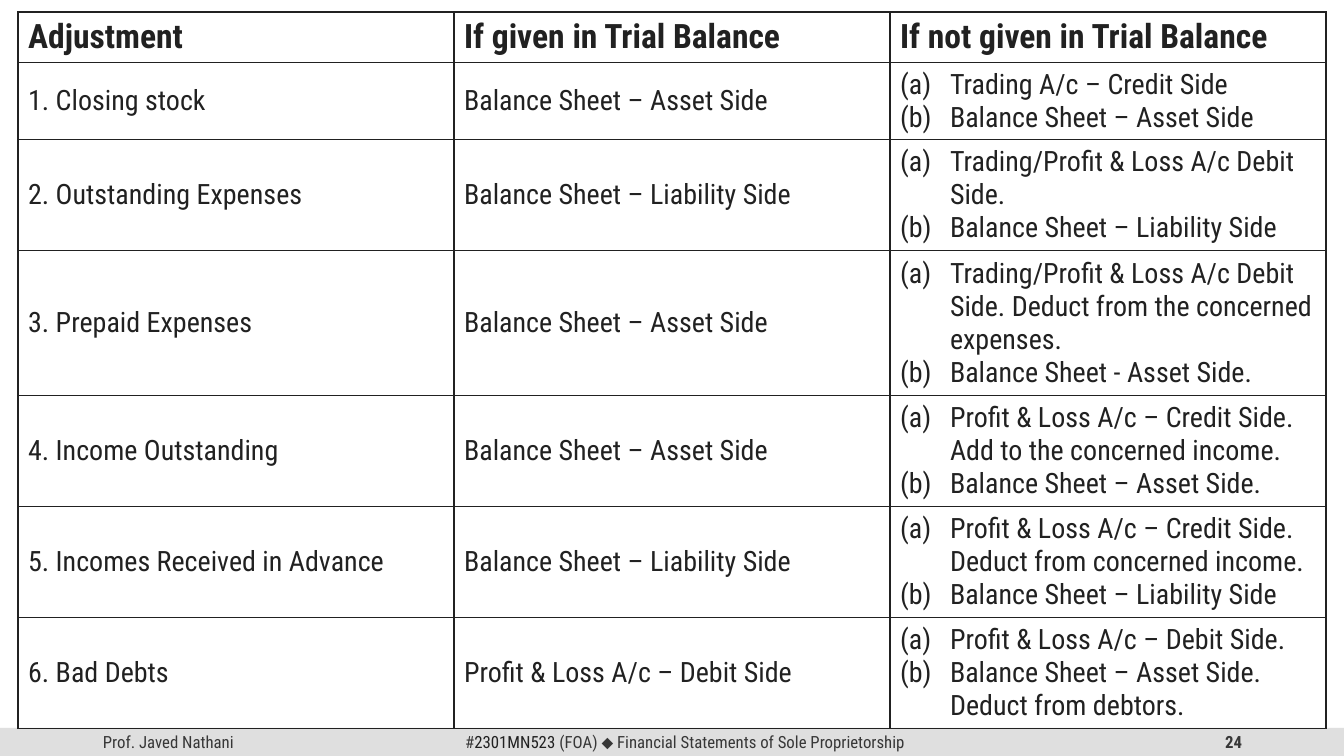
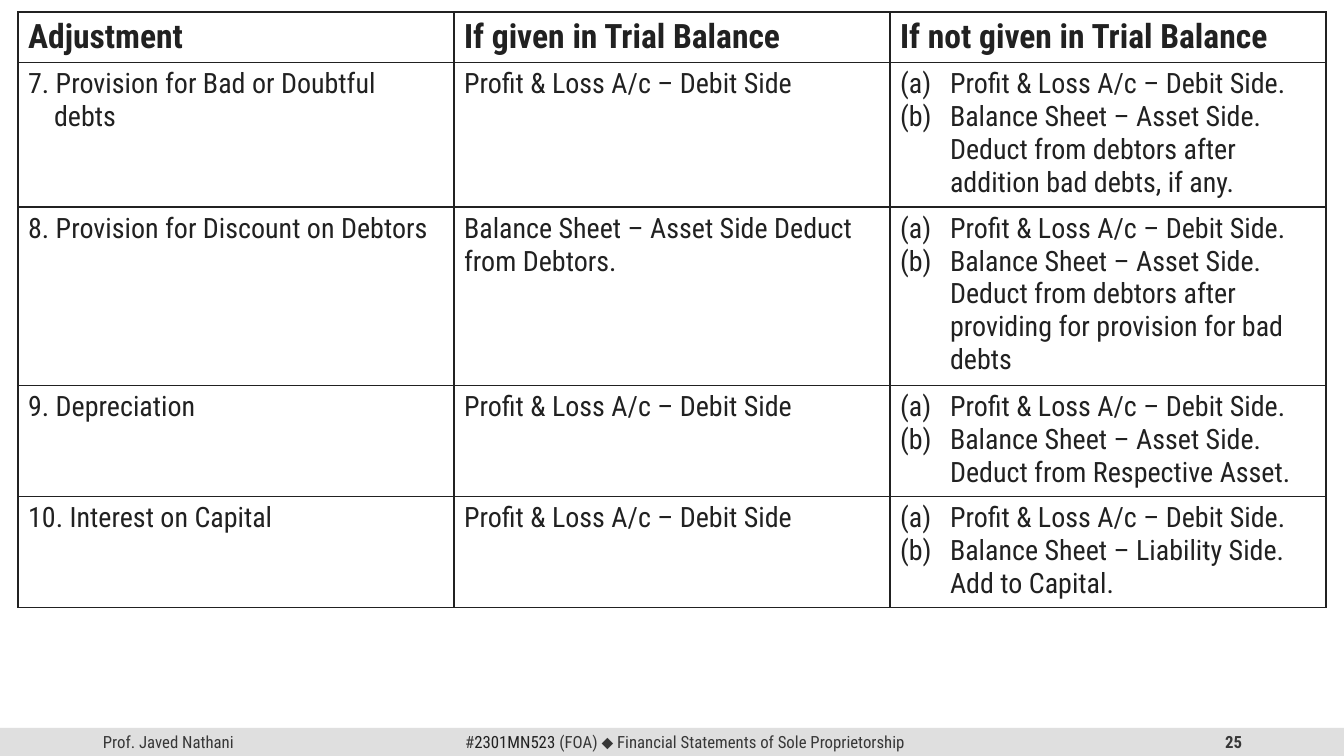
from lxml import etree
from pptx import Presentation
from pptx import util as u
from pptx.dml.color import RGBColor
from pptx.enum import shapes, text
from pptx.oxml import ns

COLORS = {"ink": "212121", "footer": "373737", "band": "DFDFDF"}
FONT = "Roboto Condensed"
SLIDE_W, SLIDE_H = 1344, 756
EMU_PER_PX = 12192000 / SLIDE_W

# Table grid
TABLE_LEFT, TABLE_TOP, COLUMN_W = 18, 12, 436
HEADER_H, LINE_H, CELL_PADDING = 49, 33, 10
HANGING = {0: 26, 2: 50}  # hanging indent by column

# Footer
FOOTER_TOP, FOOTER_H = 728, 28
FIRST_PAGE = 24
AUTHOR = [("Prof. Javed Nathani", FONT, "footer", False)]
COURSE = [
    ("#", FONT, "footer", False),
    ("2301MN523 ", FONT, "ink", False),
    ("(FOA) ", FONT, "footer", False),
    ("⬥", "Arial", "footer", False),
    (" Financial Statements of Sole Proprietorship", FONT, "footer", False),
]

# Wording
HEADINGS = ["Adjustment", "If given in Trial Balance", "If not given in Trial Balance"]
ASSET = "Balance Sheet – Asset Side"
LIABILITY = "Balance Sheet – Liability Side"
DEBIT = "Profit & Loss A/c – Debit Side"
CREDIT = "Profit & Loss A/c – Credit Side"
EXPENSE = "Trading/Profit & Loss A/c Debit Side."

# Each row: line count, adjustment, if given, if not given (a) and (b)
PAGES = [
    (text.MSO_ANCHOR.MIDDLE, [
        (2, "1. Closing stock", ASSET, ["Trading A/c – Credit Side", ASSET]),
        (3, "2. Outstanding Expenses", LIABILITY, [EXPENSE, LIABILITY]),
        (4, "3. Prepaid Expenses", ASSET,
         [f"{EXPENSE} Deduct from the concerned expenses.", "Balance Sheet - Asset Side."]),
        (3, "4. Income Outstanding", ASSET,
         [f"{CREDIT}. Add to the concerned income.", f"{ASSET}."]),
        (3, "5. Incomes Received in Advance", LIABILITY,
         [f"{CREDIT}.\nDeduct from concerned income.", LIABILITY]),
        (3, "6. Bad Debts", DEBIT, [f"{DEBIT}.", f"{ASSET}. Deduct from debtors."]),
    ]),
    (text.MSO_ANCHOR.TOP, [
        (4, "7. Provision for Bad or Doubtful\ndebts", DEBIT,
         [f"{DEBIT}.", f"{ASSET}. Deduct from debtors after addition bad debts, if any."]),
        (5, "8. Provision for Discount on Debtors", f"{ASSET} Deduct from Debtors.",
         [f"{DEBIT}.",
          f"{ASSET}. Deduct from debtors after providing for provision for bad debts"]),
        (3, "9. Depreciation", DEBIT,
         [f"{DEBIT}.", f"{ASSET}. Deduct from Respective Asset."]),
        (3, "10. Interest on Capital", DEBIT,
         [f"{DEBIT}.", f"{LIABILITY}. Add to Capital."]),
    ]),
]


def px(n):
    return u.Emu(round(n * EMU_PER_PX))


def style_run(run, size, font, color, bold):
    run.font.size = u.Pt(size)
    run.font.name = font
    run.font.bold = bold
    run.font.color.rgb = RGBColor.from_string(COLORS[color])


prs = Presentation()
prs.slide_width, prs.slide_height = px(SLIDE_W), px(SLIDE_H)

for page, (anchor, entries) in enumerate(PAGES, FIRST_PAGE):
    slide = prs.slides.add_slide(prs.slide_layouts[6])

    # Footer band and its three texts
    band = slide.shapes.add_shape(
        shapes.MSO_SHAPE.RECTANGLE, 0, px(FOOTER_TOP), px(SLIDE_W), px(FOOTER_H))
    band.shadow.inherit = False
    band.fill.solid()
    band.fill.fore_color.rgb = RGBColor.from_string(COLORS["band"])
    band.line.fill.background()

    for left, width, align, pieces in [
        (93, 302, text.PP_ALIGN.LEFT, AUTHOR),
        (950, 302, text.PP_ALIGN.RIGHT, [(str(page), FONT, "footer", True)]),
        (421, 528, text.PP_ALIGN.CENTER, COURSE),
    ]:
        footer = slide.shapes.add_textbox(px(left), px(FOOTER_TOP), px(width), px(FOOTER_H))
        frame = footer.text_frame
        frame.word_wrap = True
        frame.vertical_anchor = text.MSO_ANCHOR.MIDDLE
        frame.margin_top = frame.margin_bottom = 0
        frame.paragraphs[0].alignment = align
        for wording, font, color, bold in pieces:
            run = frame.paragraphs[0].add_run()
            run.text = wording
            style_run(run, 12, font, color, bold)

    # Table: row heights follow from the line counts
    heights = [HEADER_H] + [CELL_PADDING + LINE_H * entry[0] for entry in entries]
    rows = [HEADINGS] + [entry[1:] for entry in entries]
    adjustments = slide.shapes.add_table(
        len(rows), len(HEADINGS), px(TABLE_LEFT), px(TABLE_TOP),
        px(COLUMN_W * len(HEADINGS)), px(sum(heights))).table
    adjustments.first_row = adjustments.horz_banding = False
    for column in adjustments.columns:
        column.width = px(COLUMN_W)

    for r, (height, row) in enumerate(zip(heights, rows)):
        adjustments.rows[r].height = px(height)
        is_header = r == 0
        for c, content in enumerate(row):
            cell = adjustments.cell(r, c)
            cell.fill.background()
            cell.vertical_anchor = text.MSO_ANCHOR.TOP if is_header else anchor

            # Borders come before the fill
            tc_pr = cell._tc.get_or_add_tcPr()
            for i, side in enumerate(("lnL", "lnR", "lnT", "lnB")):
                border = etree.Element(ns.qn(f"a:{side}"), w=str(u.Pt(1)))
                solid = etree.SubElement(border, ns.qn("a:solidFill"))
                etree.SubElement(solid, ns.qn("a:srgbClr"), val=COLORS["ink"])
                tc_pr.insert(i, border)

            # Text, with (a), (b) numbering where there is a list
            treatments = content if isinstance(content, list) else [content]
            for i, wording in enumerate(treatments):
                frame = cell.text_frame
                paragraph = frame.paragraphs[0] if i == 0 else frame.add_paragraph()
                paragraph.text = wording
                for run in paragraph.runs:
                    style_run(run, 24 if is_header else 20, FONT, "ink", is_header)
                if not is_header and c in HANGING:
                    p_pr = paragraph._p.get_or_add_pPr()
                    p_pr.set("marL", str(px(HANGING[c])))
                    p_pr.set("indent", str(-px(HANGING[c])))
                    if len(treatments) > 1:
                        etree.SubElement(p_pr, ns.qn("a:buAutoNum"), type="alphaLcParenBoth")

prs.save("out.pptx")
